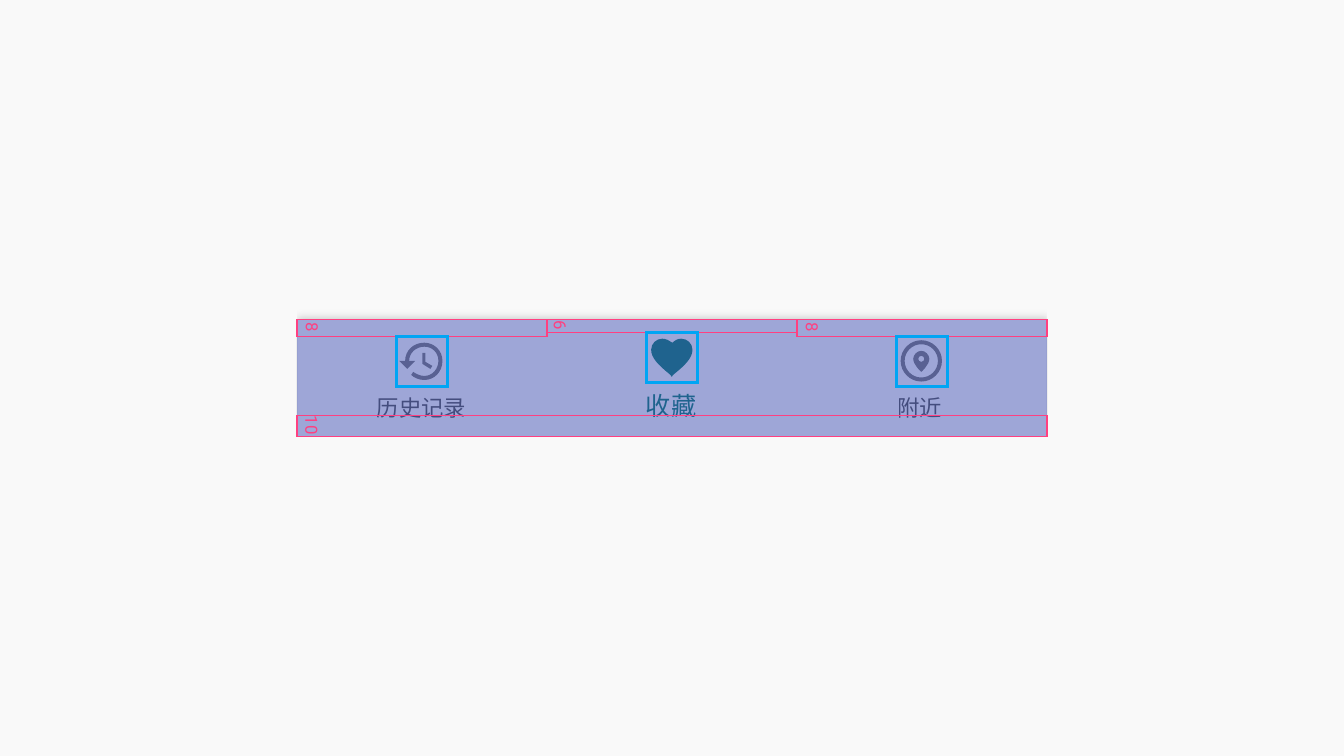
from lxml.etree import SubElement
from pptx import Presentation
from pptx.dml.color import RGBColor
from pptx.enum.shapes import MSO_CONNECTOR, MSO_SHAPE
from pptx.enum.text import MSO_AUTO_SIZE
from pptx.oxml.ns import qn
from pptx.util import Pt

PX = 1524
ICON_UNIT = 6 * PX
BACKGROUND = RGBColor(0xF9, 0xF9, 0xF9)
WHITE = RGBColor(0xFF, 0xFF, 0xFF)
BLACK = RGBColor(0x00, 0x00, 0x00)
TEAL = RGBColor(0x00, 0x79, 0x6B)
INDIGO = RGBColor(0x3E, 0x4F, 0xB1)
PINK = RGBColor(0xFF, 0x40, 0x81)
SKY = RGBColor(0x00, 0xA5, 0xF4)

SLIDE_WIDTH, SLIDE_HEIGHT = 8000, 4500
BAR_LEFT, BAR_TOP, BAR_WIDTH, BAR_HEIGHT = 1768, 1902, 4464, 696
BAR_RIGHT, BAR_BOTTOM = BAR_LEFT + BAR_WIDTH, BAR_TOP + BAR_HEIGHT
COLUMN = BAR_WIDTH // 3
ICON_SIZE = 300
BOTTOM_PADDING = 124


def circle(x, y, radius):
    bend = 0.55
    unit = [
        (0, -1), (-bend, -1), (-1, -bend), (-1, 0), (-1, bend), (-bend, 1), (0, 1),
        (bend, 1), (1, bend), (1, 0), (1, -bend), (bend, -1), (0, -1),
    ]
    return [(x + radius * dx, y + radius * dy) for dx, dy in unit]


def straight(*points):
    return [point for point in points for _ in range(3)]


def set_alpha(element, percent):
    if percent < 100:
        color = next(element.iter(qn("a:srgbClr")))
        SubElement(color, qn("a:alpha"), val=str(percent * 1000))


def bend_segments(shape):
    path = next(shape._element.iter(qn("a:path")))
    segments = path.findall(qn("a:lnTo"))
    for first, second, third in zip(segments[::3], segments[1::3], segments[2::3]):
        first.tag = qn("a:cubicBezTo")
        for segment in (second, third):
            first.append(segment[0])
            path.remove(segment)


class Canvas:
    font_name = "Roboto"

    def __init__(self, slide):
        self.shapes = slide.shapes

    def paint(self, shape, fill=None, alpha=100, line=None, weight=1):
        shape.shadow.inherit = False
        if fill is None:
            shape.fill.background()
        else:
            shape.fill.solid()
            shape.fill.fore_color.rgb = fill
            set_alpha(shape._element.spPr, alpha)
        if line is None:
            shape.line.fill.background()
        else:
            shape.line.color.rgb = line
            shape.line.width = Pt(weight)
            outline = shape._element.spPr.find(qn("a:ln"))
            SubElement(outline, qn("a:miter"), lim="800000")
        return shape

    def rectangle(self, left, top, width, height, **style):
        box = [value * PX for value in (left, top, width, height)]
        return self.paint(self.shapes.add_shape(MSO_SHAPE.RECTANGLE, *box), **style)

    def icon(self, contours, fill, alpha=100):
        builder = self.shapes.build_freeform(*contours[0][0], scale=ICON_UNIT / 100)
        contours = [[(x * 100, y * 100) for x, y in contour] for contour in contours]
        builder = self.shapes.build_freeform(*contours[0][0], scale=ICON_UNIT / 100)
        for index, contour in enumerate(contours):
            if index:
                builder.move_to(*contour[0])
            builder.add_line_segments(contour[1:], close=True)
        shape = builder.convert_to_shape()
        bend_segments(shape)
        return self.paint(shape, fill, alpha)

    def line(self, x1, y1, x2, y2, color, weight, alpha):
        ends = [value * PX for value in (x1, y1, x2, y2)]
        connector = self.shapes.add_connector(MSO_CONNECTOR.STRAIGHT, *ends)
        connector.line.color.rgb = color
        connector.line.width = Pt(weight)
        properties = connector._element.spPr
        set_alpha(properties, alpha)
        SubElement(properties, qn("a:effectLst"))

    def text(self, text, left, top, width, height, size, color, alpha=100, rotation=0):
        box = self.shapes.add_textbox(*[value * PX for value in (left, top, width, height)])
        box.rotation = rotation
        frame = box.text_frame
        frame.word_wrap = False
        frame.auto_size = MSO_AUTO_SIZE.SHAPE_TO_FIT_TEXT
        paragraph = frame.paragraphs[0]
        paragraph.text = text
        font = paragraph.font
        font.name = self.font_name
        font.size = Pt(size)
        font.color.rgb = color
        set_alpha(paragraph._p, alpha)

    def upward_shadow(self, shape):
        effects = shape._element.spPr.find(qn("a:effectLst"))
        shadow = SubElement(
            effects, qn("a:outerShdw"), blurRad=str(Pt(6)), dist=str(Pt(2)),
            dir="16200000", algn="b", rotWithShape="0",
        )
        color = SubElement(shadow, qn("a:srgbClr"), val=str(BLACK))
        SubElement(color, qn("a:alpha"), val="16000")


def draw_icons(canvas):
    half = [
        (667, 374), (664, 371), (664, 371), (664, 371), (653, 362), (646, 355), (646, 347),
        (646, 341), (651, 336), (657, 336), (661, 336), (664, 338), (667, 340),
    ]
    heart = half + [(1333 - x, y) for x, y in reversed(half[:-1])]
    canvas.icon([heart], TEAL)

    pin = [
        (914, 348), (910, 348), (906, 352), (906, 356), (906, 362), (914, 369), (914, 369),
        (914, 369), (922, 362), (922, 356), (922, 352), (918, 348), (914, 348),
    ]
    nearby = [pin, circle(914, 356, 3), circle(914, 358, 16.5), circle(914, 358, 20.5)]
    canvas.icon(nearby, BLACK, 54)

    dial = [
        (421, 340), (410, 340), (402, 348), (402, 358),
        *straight((396, 358), (404, 366), (412, 358), (406, 358)),
        (406, 350), (413, 344), (421, 344), (429, 344), (435, 350), (435, 358),
        (435, 366), (429, 373), (421, 373), (417, 373), (413, 371), (410, 369),
        *straight((408, 372)),
        (411, 375), (416, 377), (421, 377), (431, 377), (439, 369), (439, 358),
        (439, 348), (431, 340), (421, 340),
    ]
    hands = [
        (419, 350),
        *straight((419, 361), (427, 366), (429, 363), (422, 359), (422, 350)),
    ]
    canvas.icon([dial, hands], BLACK, 54)


def draw_bar(canvas):
    bar = canvas.rectangle(BAR_LEFT, BAR_TOP, BAR_WIDTH, BAR_HEIGHT, fill=WHITE)
    canvas.upward_shadow(bar)
    canvas.text("收藏", 3786, 2292, 426, 240, 18, TEAL)
    canvas.text("附近", 5283, 2316, 408, 222, 16, BLACK, 70)
    canvas.text("历史记录", 2184, 2316, 660, 222, 16, BLACK, 70)
    draw_icons(canvas)

    for left, top, width, height in (
        (0, 0, BAR_LEFT, SLIDE_HEIGHT),
        (BAR_RIGHT, 0, SLIDE_WIDTH - BAR_RIGHT, SLIDE_HEIGHT),
        (BAR_LEFT, BAR_BOTTOM, BAR_WIDTH, SLIDE_HEIGHT - BAR_BOTTOM),
    ):
        canvas.rectangle(left, top, width, height, fill=BACKGROUND)
    for ends in (
        (BAR_LEFT, BAR_TOP, BAR_LEFT, BAR_BOTTOM),
        (BAR_RIGHT, BAR_TOP, BAR_RIGHT, BAR_BOTTOM),
        (BAR_RIGHT, BAR_BOTTOM, BAR_LEFT, BAR_BOTTOM),
    ):
        canvas.line(*ends, BLACK, 0.5, 12)


def draw_measures(canvas):
    canvas.rectangle(BAR_LEFT, BAR_TOP, BAR_WIDTH, BAR_HEIGHT, fill=INDIGO, alpha=50)
    bottom = BAR_BOTTOM - BOTTOM_PADDING
    canvas.rectangle(BAR_LEFT, bottom, BAR_WIDTH, BOTTOM_PADDING, line=PINK)
    canvas.text("10", 1740, 2442, 234, 180, 12, PINK, rotation=90)

    paddings = (("8", 100, 1770, 1860), ("6", 76, 3246, 1848), ("8", 100, 4746, 1860))
    for index, (label, padding, label_left, label_top) in enumerate(paddings):
        left = BAR_LEFT + index * COLUMN
        canvas.rectangle(left, BAR_TOP, COLUMN, padding, line=PINK)
        canvas.text(label, label_left, label_top, 180, 180, 12, PINK, rotation=90)
        icon_left = left + (COLUMN - ICON_SIZE) // 2
        canvas.rectangle(icon_left, BAR_TOP + padding, ICON_SIZE, ICON_SIZE, line=SKY, weight=2.25)


def main():
    presentation = Presentation()
    presentation.slide_width = SLIDE_WIDTH * PX
    presentation.slide_height = SLIDE_HEIGHT * PX
    slide = presentation.slides.add_slide(presentation.slide_layouts[6])
    slide.background.fill.solid()
    slide.background.fill.fore_color.rgb = BACKGROUND
    canvas = Canvas(slide)
    draw_bar(canvas)
    draw_measures(canvas)
    presentation.save("out.pptx")


if __name__ == "__main__":
    main()
